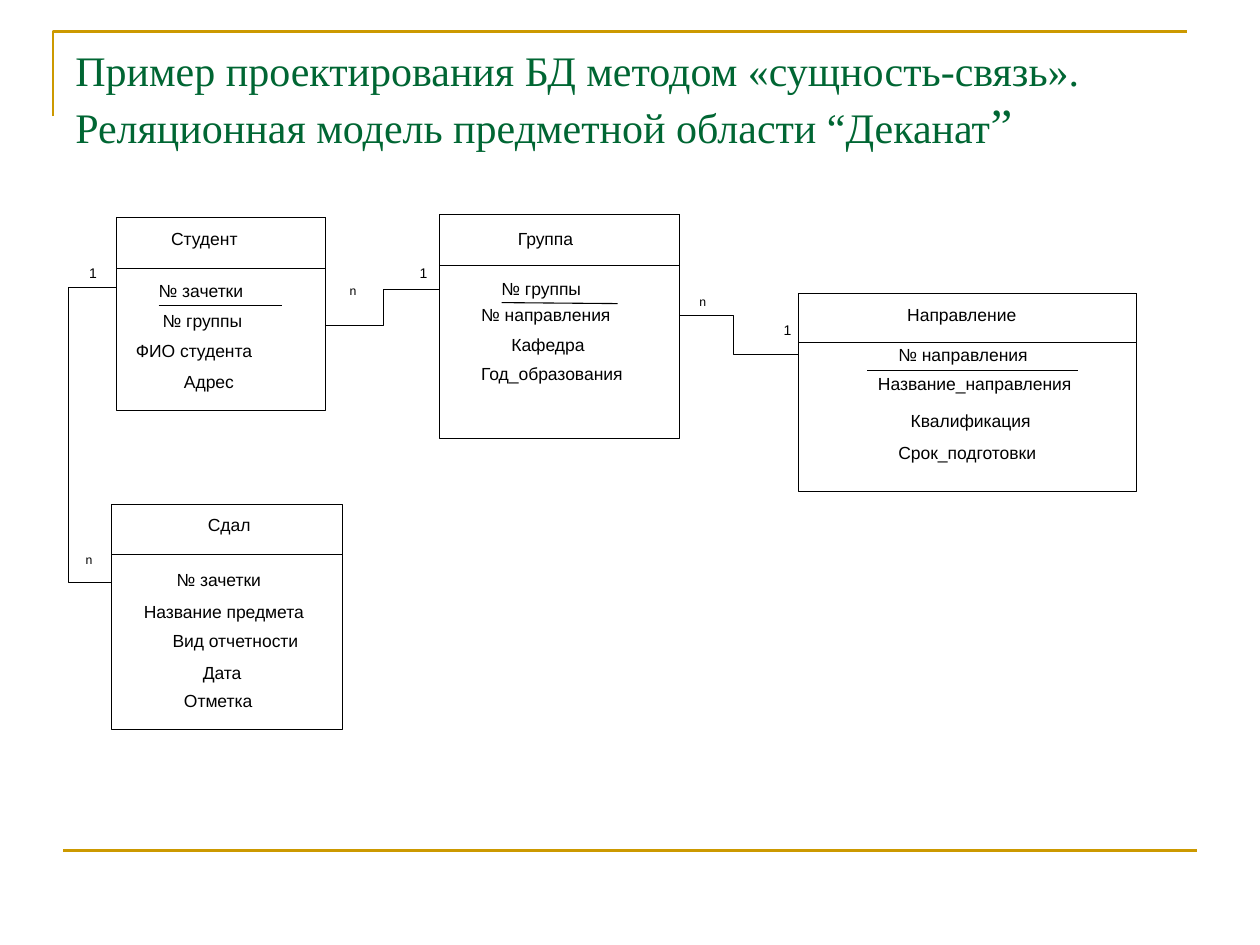
from pptx import Presentation
from pptx.dml.color import RGBColor
from pptx.enum.shapes import MSO_CONNECTOR, MSO_SHAPE
from pptx.enum.text import MSO_ANCHOR, MSO_AUTO_SIZE, PP_ALIGN
from pptx.oxml.ns import qn
from pptx.util import Cm, Pt
from lxml import etree

RECT = MSO_SHAPE.RECTANGLE
STRAIGHT = MSO_CONNECTOR.STRAIGHT
MIDDLE = MSO_ANCHOR.MIDDLE
TOP = MSO_ANCHOR.TOP
GROW = MSO_AUTO_SIZE.SHAPE_TO_FIT_TEXT
LEFT = PP_ALIGN.LEFT
CENTER = PP_ALIGN.CENTER

BLACK = RGBColor(0x00, 0x00, 0x00)
WHITE = RGBColor(0xFF, 0xFF, 0xFF)
GOLD = RGBColor(0xCC, 0x99, 0x00)
GREEN = RGBColor(0x00, 0x66, 0x33)

SANS = "Arial"
SERIF = "Times New Roman"
HAIR = 0.25

TABLES = [
    ((2.34, 4.39, 4.22, 3.89), (4.39, 1.02), [
        ("Студент", 3.45, 4.6, 1.35),
        ("№ зачетки", 3.2, 5.64, 1.73),
        ("№ группы", 3.28, 6.25, 1.62),
        ("ФИО студента", 2.74, 6.86, 2.36),
        ("Адрес", 3.71, 7.47, 1.02)]),
    ((2.24, 10.31, 4.67, 4.39), (10.16, 1.02), [
        ("Сдал", 4.19, 10.36, 0.86),
        ("№ зачетки", 3.56, 11.48, 1.73),
        ("Название предмета", 2.9, 12.12, 3.25),
        ("Вид отчетности", 3.48, 12.7, 2.57),
        ("Дата", 4.09, 13.34, 0.79),
        ("Отметка", 3.71, 13.92, 1.4)]),
    ((8.86, 4.32, 4.83, 4.52), (4.32, 1.02), [
        ("Группа", 10.44, 4.6, 1.14),
        ("№ группы", 10.11, 5.61, 1.62),
        ("№ направления", 9.7, 6.12, 2.62),
        ("Кафедра", 10.31, 6.73, 1.5),
        ("Год_образования", 9.7, 7.32, 2.9)]),
    ((16.1, 5.92, 6.81, 3.99), (5.92, 0.99), [
        ("Направление", 18.29, 6.12, 2.21),
        ("№ направления", 18.11, 6.93, 2.62),
        ("Название_направления", 17.7, 7.52, 3.91),
        ("Квалификация", 18.36, 8.26, 2.45),
        ("Срок_подготовки", 18.11, 8.92, 2.79)]),
]
KEYS = [
    (3.2, 6.15, 5.69, 6.15),
    (10.11, 6.1, 12.45, 6.12),
    (17.48, 7.47, 21.74, 7.47),
]
LINKS = [
    [(6.55, 6.55), (7.72, 6.55), (7.72, 5.84), (8.86, 5.84)],
    [(13.69, 6.35), (14.78, 6.35), (14.78, 7.14), (16.1, 7.14)],
    [(2.34, 5.79), (1.37, 5.79), (1.37, 11.73), (2.24, 11.73)],
]
ONES = [(1.8, 5.33), (8.46, 5.33), (15.8, 6.48)]
MANY = [(1.3, 11.13, 0.99), (6.71, 5.72, 0.81), (13.89, 5.94, 0.56)]


def add_box(slide, x, y, w, h):
    box = slide.shapes.add_shape(RECT, Cm(x), Cm(y), Cm(w), Cm(h))
    box.shadow.inherit = False
    box.fill.solid()
    box.fill.fore_color.rgb = WHITE
    box.line.color.rgb = BLACK
    box.line.width = Pt(HAIR)


def add_line(slide, x1, y1, x2, y2, color, width):
    line = slide.shapes.add_connector(STRAIGHT, Cm(x1), Cm(y1), Cm(x2), Cm(y2))
    line.line.color.rgb = color
    line.line.width = Pt(width)
    etree.SubElement(line._element.spPr, qn("a:effectLst"))


def add_path(slide, points, color, width):
    first, *rest = [(Cm(x), Cm(y)) for x, y in points]
    form = slide.shapes.build_freeform(*first)
    form.add_line_segments(rest, close=False)
    path = form.convert_to_shape()
    path.shadow.inherit = False
    path.fill.background()
    path.line.color.rgb = color
    path.line.width = Pt(width)


def add_frame(slide, x, y, w, h, wrap, anchor=TOP):
    frame = slide.shapes.add_textbox(Cm(x), Cm(y), Cm(w), Cm(h)).text_frame
    frame.word_wrap = wrap
    frame.vertical_anchor = anchor
    return frame


def add_run(para, text, size, font, color):
    run = para.add_run()
    run.text = text
    run.font.size = Pt(size)
    run.font.name = font
    run.font.color.rgb = color


def add_label(slide, text, x, y, w, h=0.43, size=10, align=LEFT):
    frame = add_frame(slide, x, y, w, h, align == CENTER)
    frame.auto_size = GROW
    frame.margin_left = frame.margin_right = 0
    frame.margin_top = frame.margin_bottom = 0
    para = frame.paragraphs[0]
    para.alignment = align
    add_run(para, text, size, SANS, BLACK)


def add_title(slide):
    frame = add_frame(slide, 1.27, 0.76, 23.44, 2.74, True, MIDDLE)
    frame.margin_bottom = Cm(0.4)
    para = frame.paragraphs[0]
    text = ("Пример проектирования БД методом «сущность-связь». "
            "Реляционная модель предметной области “Деканат")
    add_run(para, text, 24, SERIF, GREEN)
    add_run(para, "”", 28, SERIF, GREEN)


def add_table_box(slide, body, head, labels):
    add_box(slide, *body)
    top, height = head
    add_box(slide, body[0], top, body[2], height)
    for label in labels:
        add_label(slide, *label)


def main():
    deck = Presentation()
    deck.slide_width, deck.slide_height = Cm(25.4), Cm(19.05)
    slide = deck.slides.add_slide(deck.slide_layouts[6])
    add_path(slide, [(1.07, 2.34), (1.07, 0.64), (23.93, 0.64)], GOLD, 1.5)
    add_line(slide, 1.27, 17.15, 24.13, 17.15, GOLD, 1.5)
    add_title(slide)
    for table in TABLES:
        add_table_box(slide, *table)
    for key in KEYS:
        add_line(slide, *key, BLACK, 0.63)
    for link in LINKS:
        add_path(slide, link, BLACK, HAIR)
    for x, y in ONES:
        add_label(slide, "1", x, y, 0.15, 0.36, 8)
    for x, y, w in MANY:
        add_label(slide, "n", x, y, w, 0.3, 7, CENTER)
    deck.save("out.pptx")


main()
